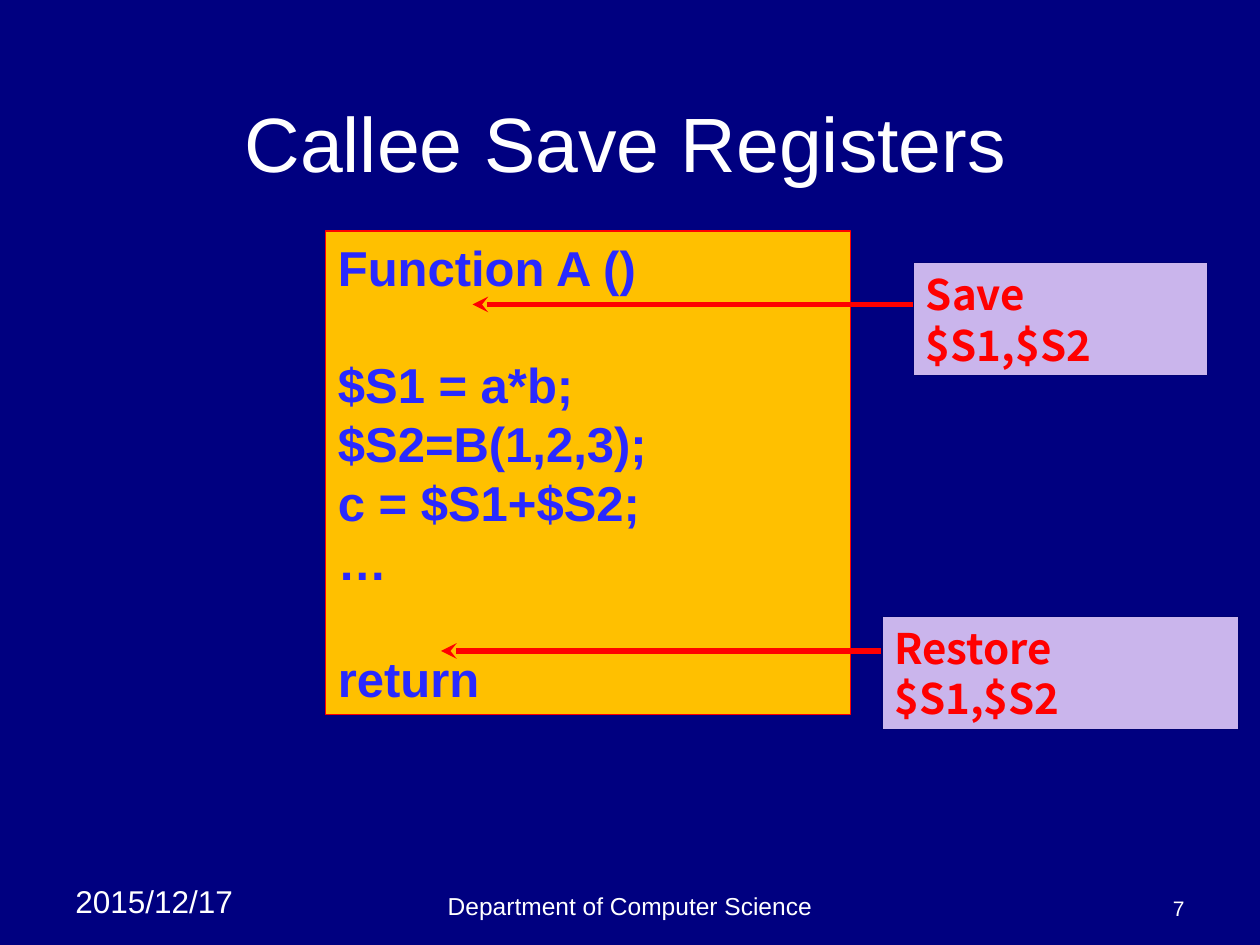
from dataclasses import dataclass

from lxml import etree
from pptx import Presentation
from pptx.dml.color import RGBColor
from pptx.enum.shapes import MSO_CONNECTOR, MSO_SHAPE
from pptx.enum.text import MSO_ANCHOR, PP_ALIGN
from pptx.oxml.ns import qn
from pptx.util import Pt

LEFT, MID, RIGHT = PP_ALIGN.LEFT, PP_ALIGN.CENTER, PP_ALIGN.RIGHT
TOP, CENTER, BASE = MSO_ANCHOR.TOP, MSO_ANCHOR.MIDDLE, MSO_ANCHOR.BOTTOM
RECT, LINE = MSO_SHAPE.RECTANGLE, MSO_CONNECTOR.STRAIGHT

HUES = {
    "navy": "000080", "edge": "000073", "white": "FFFFFF", "gold": "FFC000",
    "blue": "2929FF", "red": "FF0000", "lilac": "CAB5EC",
}
LEAD = 1.2  # line pitch as a multiple of the text size
REACH = 252  # length of each arrow


@dataclass
class Box:
    left: float
    top: float
    width: float
    height: float


@dataclass
class Style:
    size: float
    hue: str
    font: str = "Arial"
    bold: bool = False
    align: PP_ALIGN = LEFT
    anchor: MSO_ANCHOR = TOP


@dataclass
class Note:
    text: str
    box: Box
    arrow: float  # height of the arrow on the slide


CODE = Style(28, "blue", bold=True)
MARK = Style(24, "red", "Noto Sans CJK SC", True)
# Each code line with the number of empty lines above it
LINES = [
    ("Function A ()", 0), ("$S1 = a*b;", 1), ("$S2=B(1,2,3);", 0),
    ("c = $S1+$S2;", 0), ("…", 0), ("return", 1),
]
NOTES = [
    Note("Save $S1,$S2", Box(522, 150, 168, 64.8), 174),
    Note("Restore $S1,$S2", Box(504, 352.2, 204, 64.8), 372),
]
FOOT = [
    ("2015/12/17", Box(36, 500.4, 114, 28.8), Style(18, "white")),
    ("Department of Computer Science", Box(246, 492, 228, 37.5),
     Style(14, "white", align=MID, anchor=BASE)),
    ("7", Box(516, 492, 168, 37.5),
     Style(12, "white", align=RIGHT, anchor=BASE)),
]


def color(name: str) -> RGBColor:
    return RGBColor.from_string(HUES[name])


def place(box: Box) -> tuple:
    return Pt(box.left), Pt(box.top), Pt(box.width), Pt(box.height)


def write(shape, text: str, style: Style) -> None:
    frame = shape.text_frame
    frame.text = text
    frame.word_wrap = True
    frame.vertical_anchor = style.anchor
    for para in frame.paragraphs:
        para.alignment = style.align
        for run in para.runs:
            font = run.font
            font.size, font.name, font.bold = Pt(style.size), style.font, style.bold
            font.color.rgb = color(style.hue)
            if style.font != "Arial":
                east = etree.SubElement(run._r.get_or_add_rPr(), qn("a:ea"))
                east.set("typeface", style.font)


def panel(slide, box: Box, fill: str, edge: str, text: str, style: Style):
    shape = slide.shapes.add_shape(RECT, *place(box))
    shape.shadow.inherit = False
    shape.fill.solid()
    shape.fill.fore_color.rgb = color(fill)
    shape.line.color.rgb = color(edge)
    shape.line.width = Pt(0.75)
    write(shape, text, style)
    for para in shape.text_frame.paragraphs:
        para.line_spacing = Pt(style.size * LEAD)
    return shape


def arrow(slide, start: float, y: float) -> None:
    link = slide.shapes.add_connector(LINE, Pt(start), Pt(y), Pt(start - REACH), Pt(y))
    link.line.color.rgb = color("red")
    link.line.width = Pt(3)
    etree.SubElement(link.line._get_or_add_ln(), qn("a:tailEnd")).set("type", "stealth")
    etree.SubElement(link._element.spPr, qn("a:effectLst"))


def main() -> None:
    deck = Presentation()
    deck.slide_width, deck.slide_height = Pt(720), Pt(540)
    slide = deck.slides.add_slide(deck.slide_layouts[5])
    slide.background.fill.solid()
    slide.background.fill.fore_color.rgb = color("navy")

    # Title
    title = slide.shapes.title
    title.left, title.top, title.width, title.height = place(Box(51.6, 36, 612, 90))
    write(title, "Callee Save Registers",
          Style(44, "white", align=MID, anchor=CENTER))

    # Footer
    for text, box, style in FOOT:
        write(slide.shapes.add_textbox(*place(box)), text, style)

    # Code listing
    code = panel(slide, Box(186, 132, 300, 276.2), "gold", "red",
                 "\n".join(text for text, _ in LINES), CODE)
    for para, (_, gap) in zip(code.text_frame.paragraphs, LINES):
        if gap:
            para.space_before = Pt(gap * CODE.size * LEAD)

    # Notes with arrows into the code
    for note in NOTES:
        arrow(slide, note.box.left, note.arrow)
        panel(slide, note.box, "lilac", "edge", note.text, MARK)

    deck.save("out.pptx")


if __name__ == "__main__":
    main()
